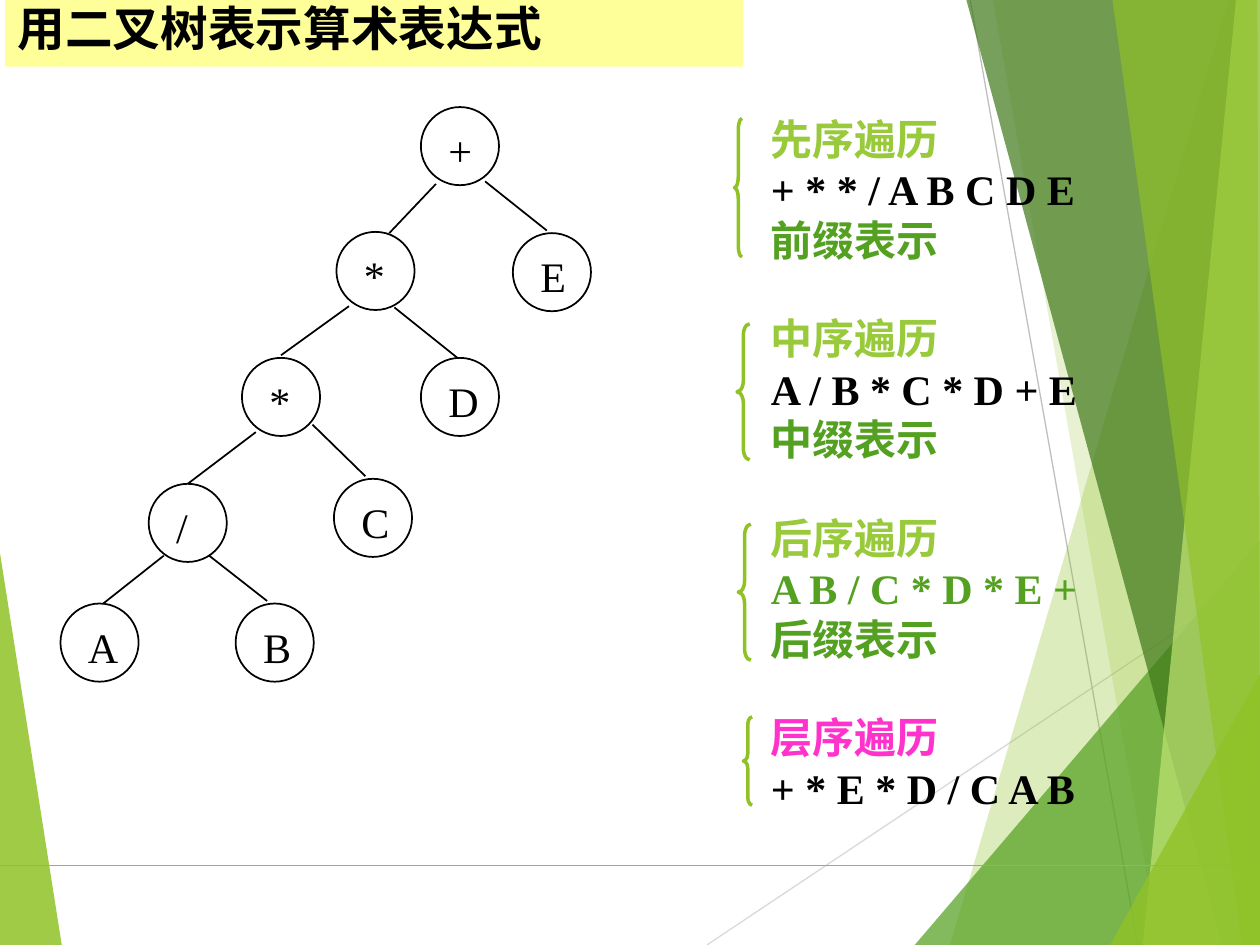
from dataclasses import dataclass

from lxml.etree import SubElement
from pptx import Presentation
from pptx.dml.color import RGBColor as Color
from pptx.enum.shapes import MSO_CONNECTOR as Connector, MSO_SHAPE as Shape
from pptx.enum.text import MSO_ANCHOR as Anchor, PP_ALIGN as Align
from pptx.oxml.ns import qn
from pptx.util import Inches, Pt

COLUMNS, ROWS = 100, 75
PAGE_WIDTH, PAGE_HEIGHT = Inches(10), Inches(7.5)
LATIN, HAN = "Times New Roman", "Noto Sans CJK SC"
COLORS = {
    "black": "000000", "lime": "90C226", "pale": "C0E474", "green": "54A021",
    "forest": "3F7819", "heading": "99CA3C", "pink": "FF33CC",
    "yellow": "FFFF99", "light_gray": "D9D9D9", "gray": "BFBFBF",
}

FACETS = [
    ("lime", 85, [(0, 43.9), (4.9, 75), (0, 75)]),
    ("lime", 30, [(97.5, 0), (75.4, 75), (100, 75), (100, 0)]),
    ("lime", 20, [(78.8, 0), (92, 75), (100, 75), (100, 0)]),
    ("green", 72, [(72.6, 75), (100, 42.9), (100, 75)]),
    ("forest", 70, [(76.7, 0), (97, 75), (100, 75), (100, 0)]),
    ("pale", 70, [(98.1, 0), (90.7, 75), (100, 75), (100, 0)]),
    ("lime", 65, [(88.3, 0), (98.6, 75), (100, 75), (99.8, 0)]),
    ("lime", 80, [(88.1, 75), (100, 53.5), (100, 75)]),
]
NODES = [
    ("+", 29.4, 0.5, 3.9), ("*", 22.7, 10.4, 3.7), ("*", 15.2, 20.4, 3.7),
    ("/", 7.8, 30.4, 2.9), ("A", 0.8, 39.9, 4.4), ("E", 36.7, 10.5, 4.1),
    ("D", 29.4, 20.4, 4.4), ("C", 22.5, 30, 4.2), ("B", 14.7, 39.9, 4.2),
]
EDGES = [
    (30.6, 6.6, 26.9, 10.5), (34.5, 6.4, 39.4, 10.3),
    (23.7, 16.3, 18.3, 20.2), (27.3, 16.4, 32.3, 20.4),
    (16.3, 26.3, 10.9, 30.4), (20.8, 25.7, 25, 29.8),
    (9, 36.1, 4.2, 39.9), (12.6, 36.1, 17.2, 39.7),
]
TRAVERSALS = [
    [("先序遍历", "heading"), ("+ * * / A B C D E", "black"), ("前缀表示", "green")],
    [("中序遍历", "heading"), ("A / B * C * D + E", "black"), ("中缀表示", "green")],
    [("后序遍历", "heading"), ("A B / C * D * E +", "green"), ("后缀表示", "green")],
    [("层序遍历", "pink"), ("+ * E * D / C A B", "black")],
]
BRACES = [(0.3, 1.4, 0.6, 11), (0.5, 17.7, 1, 10.8),
          (0.6, 33.6, 1, 10.8), (1, 48.9, 0.7, 7)]


@dataclass
class Box:
    """A region of the page measured in grid columns and rows."""
    left: float
    top: float
    width: float
    height: float

    def point(self, column, row):
        """Return the page position of a grid point inside the region."""
        return (round((self.left + column) * PAGE_WIDTH / COLUMNS),
                round((self.top + row) * PAGE_HEIGHT / ROWS))

    def area(self, column, row, width, height):
        """Return the page frame of an area inside the region."""
        return (*self.point(column, row), round(width * PAGE_WIDTH / COLUMNS),
                round(height * PAGE_HEIGHT / ROWS))


def color(name):
    """Look up a named colour."""
    return Color.from_string(COLORS[name])


def add_line(page, box, ends, name, weight):
    """Draw a shadowless straight line between two grid points."""
    line = page.shapes.add_connector(
        Connector.STRAIGHT, *box.point(*ends[:2]), *box.point(*ends[2:]))
    line.line.color.rgb = color(name)
    line.line.width = Pt(weight)
    SubElement(line._element.spPr, qn("a:effectLst"))


def add_outline(page, box, kind, frame, name, weight):
    """Draw an unfilled preset shape."""
    shape = page.shapes.add_shape(kind, *box.area(*frame))
    shape.shadow.inherit = False
    shape.fill.background()
    shape.line.color.rgb = color(name)
    shape.line.width = Pt(weight)
    return shape


def style(para, name, size=24, bold=False):
    """Format every run of a paragraph."""
    for span in para.runs:
        span.font.name = LATIN
        span.font.size = Pt(size)
        span.font.bold = bold
        span.font.color.rgb = color(name)


def add_facet(page, box, name, opacity, points):
    """Draw one translucent polygon of the backdrop."""
    corners = [box.point(*point) for point in points]
    builder = page.shapes.build_freeform(*corners[0], scale=1.0)
    builder.add_line_segments(corners[1:], close=True)
    facet = builder.convert_to_shape()
    facet.shadow.inherit = False
    facet.fill.solid()
    facet.fill.fore_color.rgb = color(name)
    facet.line.fill.background()
    tint = facet._element.spPr.find(qn("a:solidFill"))[0]
    SubElement(tint, qn("a:alpha"), val=str(opacity * 1000))


def draw_backdrop(page, box):
    """Place the green facets and thin lines behind the content."""
    add_facet(page, box, *FACETS[0])
    add_line(page, box, (56.1, 75, 100, 45.7), "light_gray", 0.75)
    add_line(page, box, (77, 0, 90.3, 75), "gray", 0.75)
    for facet in FACETS[1:]:
        add_facet(page, box, *facet)
    add_line(page, box, (0, 68.7, 100, 68.7), "lime", 0.75)


def draw_tree(page, box):
    """Place the nodes, labels and edges of the expression tree."""
    for label, column, row, width in NODES:
        add_outline(page, box, Shape.OVAL, (column, row, 6.2, 6.2), "black", 1)
        caption = page.shapes.add_textbox(
            *box.area(column + 1.2, row + 0.9, width, 5))
        caption.text_frame.word_wrap = False
        caption.text_frame.text = label
        style(caption.text_frame.paragraphs[0], "black")
    for edge in EDGES:
        add_line(page, box, edge, "black", 1)


def draw_traversals(page, box):
    """Place the traversal orders with their braces."""
    listing = page.shapes.add_textbox(*box.area(2.2, 0.5, 26.5, 57))
    frame = listing.text_frame
    frame.word_wrap = False
    lines = [line for group in TRAVERSALS for line in group]
    frame.text = "\n".join(text for text, name in lines)
    for para, (text, name) in zip(frame.paragraphs, lines):
        style(para, name, bold=True)
    start = 0
    for group in TRAVERSALS[:-1]:
        start += len(group)
        frame.paragraphs[start].space_before = Pt(27.6)
    for brace in BRACES:
        shape = add_outline(page, box, Shape.LEFT_BRACE, brace, "lime", 2)
        shape.adjustments[0] = brace[3] / (12 * brace[2])


def draw_title(page, box):
    """Place the yellow title bar."""
    bar = page.shapes.add_shape(
        Shape.RECTANGLE, *box.area(0, 0, box.width, box.height))
    bar.shadow.inherit = False
    bar.fill.solid()
    bar.fill.fore_color.rgb = color("yellow")
    bar.line.fill.background()
    frame = bar.text_frame
    frame.word_wrap = True
    frame.vertical_anchor = Anchor.MIDDLE
    frame.text = "用二叉树表示算术表达式"
    para = frame.paragraphs[0]
    para.alignment = Align.LEFT
    para.line_spacing = 0.9
    style(para, "black", 27.2, True)
    span = para.runs[0]
    span.font.name = HAN
    SubElement(span.font._element, qn("a:ea"), typeface=HAN)


def main():
    """Build and save the slide."""
    deck = Presentation()
    deck.slide_width, deck.slide_height = PAGE_WIDTH, PAGE_HEIGHT
    page = deck.slides.add_slide(deck.slide_layouts[6])
    draw_backdrop(page, Box(0, 0, COLUMNS, ROWS))
    draw_tree(page, Box(4, 8, 43, 47))
    draw_traversals(page, Box(58, 8, 30, 58))
    draw_title(page, Box(0.4, -0.3, 58.6, 5.6))
    deck.save("out.pptx")


if __name__ == "__main__":
    main()
